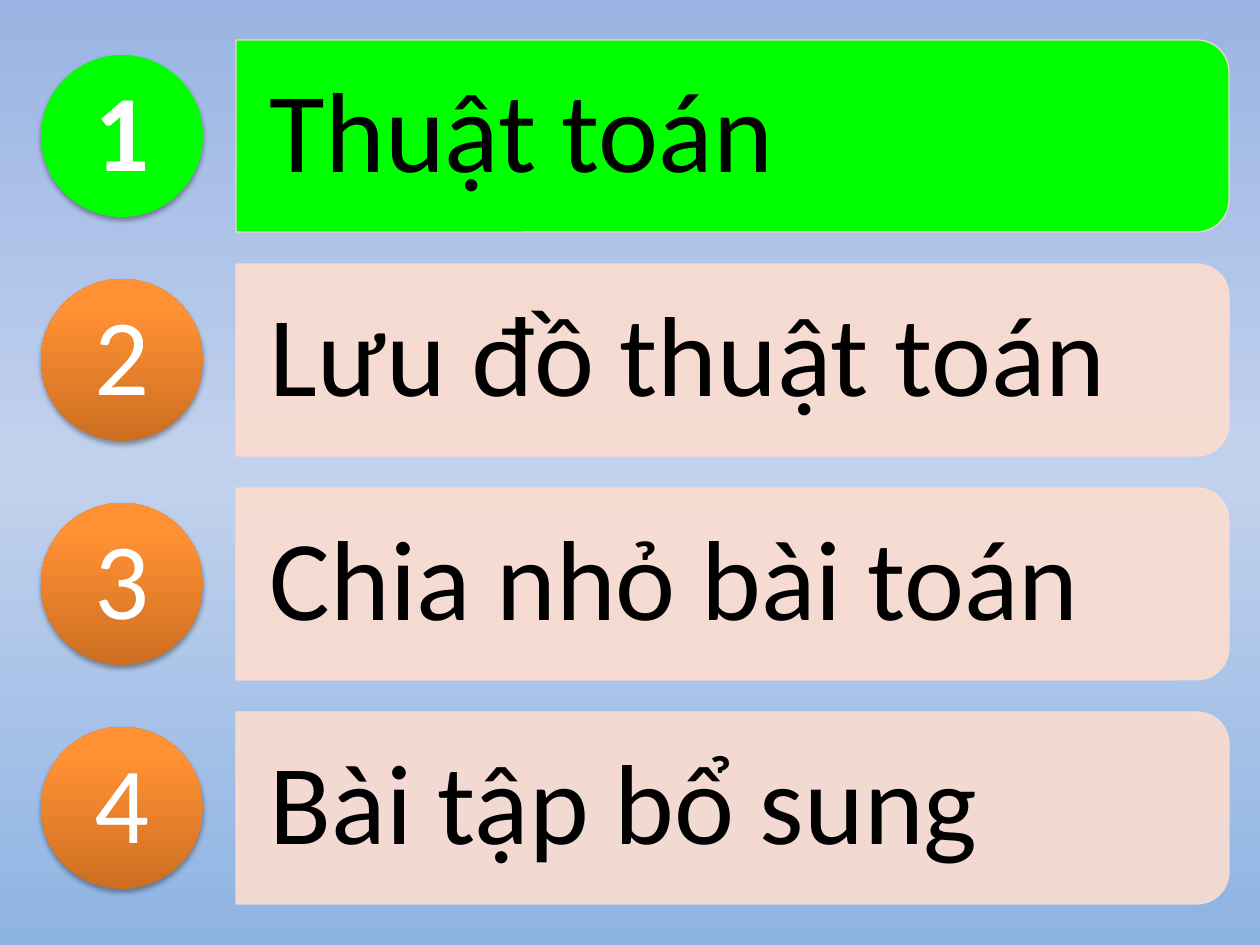
from lxml.etree import SubElement as Sub
from pptx import Presentation
from pptx.dml.color import RGBColor as RGB
from pptx.enum.shapes import MSO_SHAPE as Shape
from pptx.enum.text import MSO_ANCHOR as Anchor, PP_ALIGN as Align
from pptx.oxml.ns import qn
from pptx.util import Pt

# Content: number, topic, whether it is the current one
TOPICS = [
    ("1", "Thuật toán", True),
    ("2", "Lưu đồ thuật toán", False),
    ("3", "Chia nhỏ bài toán", False),
    ("4", "Bài tập bổ sung", False),
]

THEME = {
    "font": "Calibri",
    "ink": "000000",
    "white": "FFFFFF",
    "live": "00FF00",
    "bar": "FCDDCF",
    "clear": 90,
    "sky": [(0, "9AB5E4"), (50, "C2D1ED"), (100, "8EB4E3")],
    "ball": [(0, "CC6E20"), (80, "FF9034"), (100, "FF9136")],
    "topic": 65,
    "digit": 62,
}

# Layout in px
WIDE, HIGH = 1260, 945
TOP, STEP = 40, 224
BAR_X, BAR_W, BAR_H = 236, 993, 192
BALL_X, BALL = 41, 162
TEXT_W, TEXT_H = 984, 173
PAD_X, PAD_Y = 34, 23


def px(n):
    return round(n * 914400 / 126)


def fade(fill, node, stops, angle):
    """Give a fill a linear gradient with any number of stops."""
    fill.gradient()
    fill.gradient_angle = angle
    box = next(node.iter(qn("a:gsLst")))
    box.clear()
    for pos, color in stops:
        stop = Sub(box, qn("a:gs"), pos=str(pos * 1000))
        Sub(stop, qn("a:srgbClr"), val=color)


def paint(fill, color):
    fill.solid()
    fill.fore_color.rgb = RGB.from_string(color)


def thin(node):
    """Make every plain colour in the node slightly transparent."""
    for color in node.iter(qn("a:srgbClr")):
        Sub(color, qn("a:alpha"), val=str(THEME["clear"] * 1000))


def write(shape, text, size, color, align, pads=(0, 0), bold=False):
    frame = shape.text_frame
    x, y = map(px, pads)
    form = {"word_wrap": True, "vertical_anchor": Anchor.MIDDLE,
            "margin_left": x, "margin_right": x,
            "margin_top": y, "margin_bottom": y}
    for key, val in form.items():
        setattr(frame, key, val)
    para = frame.paragraphs[0]
    para.alignment, para.line_spacing = align, 0.9
    run = para.add_run()
    run.text = text
    form = {"name": THEME["font"], "size": Pt(size), "bold": bold}
    for key, val in form.items():
        setattr(run.font, key, val)
    run.font.color.rgb = RGB.from_string(color)


def add_bar(shapes, mid, live):
    # Drawn upright about its centre, then turned so the round end is right
    left = BAR_X + (BAR_W - BAR_H) / 2
    bar = shapes.add_shape(Shape.ROUND_2_SAME_RECTANGLE, px(left),
                           px(mid - BAR_W / 2), px(BAR_H), px(BAR_W))
    bar.rotation = 90
    bar.shadow.inherit = False
    paint(bar.line.fill, THEME["bar"])
    bar.line.width = Pt(0.75)
    if live:
        thin(bar.element.spPr)
        paint(bar.fill, THEME["live"])
    else:
        paint(bar.fill, THEME["bar"])
        thin(bar.element.spPr)


def add_ball(shapes, mid, digit, live):
    ball = shapes.add_shape(Shape.OVAL, px(BALL_X), px(mid - BALL / 2),
                            px(BALL), px(BALL))
    ball.line.fill.background()
    if live:
        paint(ball.fill, THEME["live"])
    else:
        fade(ball.fill, ball.element.spPr, THEME["ball"], 90)
    # Soft shadow below
    ball.shadow.inherit = False
    glow = Sub(ball.element.spPr.find(qn("a:effectLst")),
               qn("a:outerShdw"), blurRad=str(Pt(3.1)), dist=str(Pt(1.8)),
               dir="5400000", rotWithShape="0")
    tint = Sub(glow, qn("a:srgbClr"), val=THEME["ink"])
    Sub(tint, qn("a:alpha"), val="35000")
    write(ball, digit, THEME["digit"], THEME["white"], Align.CENTER,
          bold=live)


def main():
    deck = Presentation()
    deck.slide_width, deck.slide_height = px(WIDE), px(HIGH)
    slide = deck.slides.add_slide(deck.slide_layouts[6])
    fade(slide.background.fill, slide.element, THEME["sky"], 270)

    # One row per topic
    for i, (digit, topic, live) in enumerate(TOPICS):
        mid = TOP + i * STEP + BAR_H / 2
        add_bar(slide.shapes, mid, live)
        label = slide.shapes.add_textbox(px(BAR_X), px(mid - TEXT_H / 2),
                                         px(TEXT_W), px(TEXT_H))
        write(label, topic, THEME["topic"], THEME["ink"], Align.LEFT,
              (PAD_X, PAD_Y))
        add_ball(slide.shapes, mid, digit, live)

    deck.save("out.pptx")


if __name__ == "__main__":
    main()
